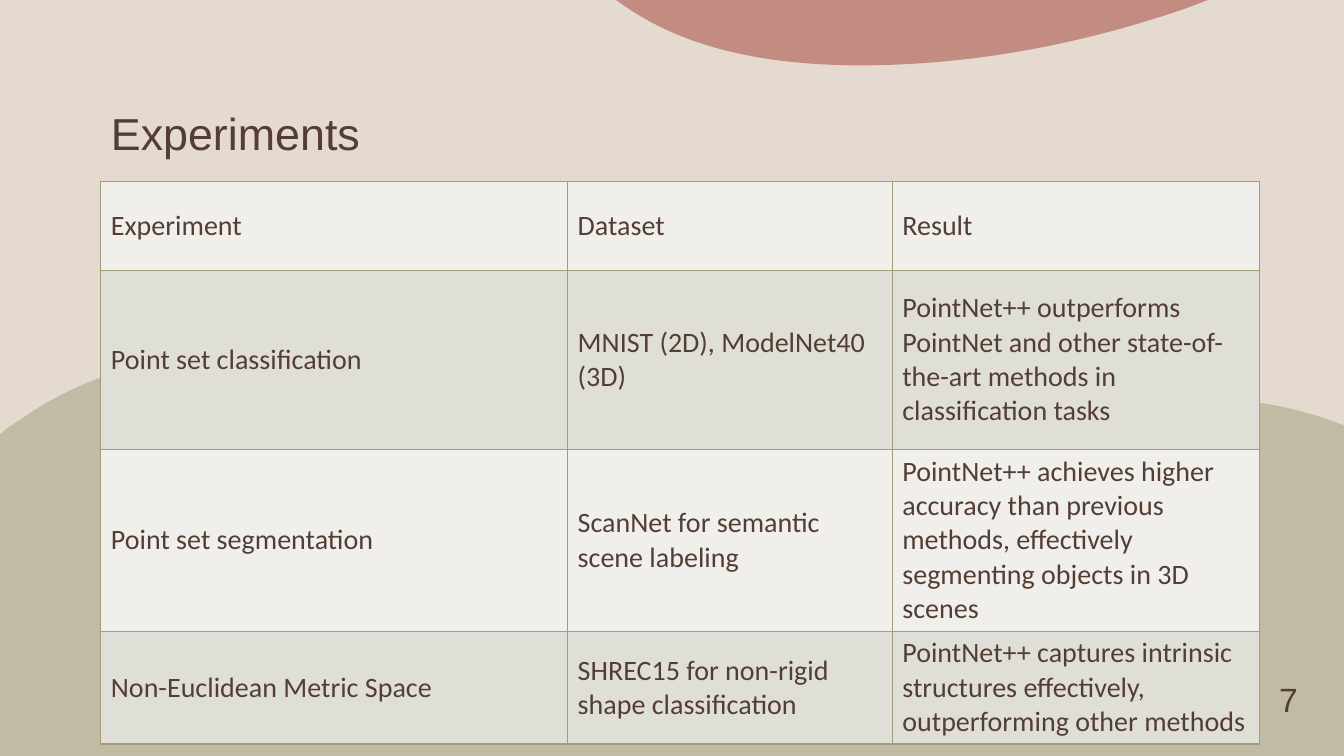
from dataclasses import dataclass

from lxml import etree
from pptx import Presentation
from pptx import util as u
from pptx.dml.color import RGBColor
from pptx.enum import text
from pptx.oxml.ns import qn

EMU_PER_PX = 9144

SAND = RGBColor(0xE5, 0xDA, 0xCF)
OLIVE = RGBColor(0xA0, 0x9D, 0x79)
CLAY = RGBColor(0xAC, 0x5B, 0x4C)
BROWN = RGBColor(0x54, 0x3E, 0x34)
LIGHT_ROW = RGBColor(0xF0, 0xEF, 0xEC)
DARK_ROW = RGBColor(0xDF, 0xDF, 0xD7)

Point = tuple[int, int]


@dataclass(frozen=True)
class Wave:
    start: Point
    segments: tuple[tuple[Point, ...], ...]
    color: RGBColor
    opacity: int


@dataclass(frozen=True)
class TextStyle:
    font: str
    size: int


TITLE_STYLE = TextStyle("Arial", 32)
NUMBER_STYLE = TextStyle("Arial", 24)
TABLE_STYLE = TextStyle("Calibri", 20)

HILLS = Wave(
    (202, 358),
    (
        ((236, 359), (270, 366), (304, 379)),
        ((334, 390), (360, 408), (386, 425)),
        ((443, 462), (505, 490), (577, 500)),
        ((637, 509), (698, 503), (759, 488)),
        ((827, 472), (867, 457), (908, 443)),
        ((948, 429), (1161, 357), (1325, 419)),
        ((1333, 422),),
        ((1333, 750),),
        ((0, 750),),
        ((0, 431),),
        ((7, 425),),
        ((16, 419), (25, 413), (34, 407)),
        ((90, 372), (146, 356), (202, 358)),
    ),
    OLIVE,
    50,
)
CREST = Wave(
    (611, 0),
    (
        ((1198, 0),),
        ((1177, 8),),
        ((1056, 50), (961, 59), (924, 62)),
        ((756, 75), (671, 41), (621, 7)),
    ),
    CLAY,
    60,
)

COLUMN_WIDTHS = (463, 322, 364)
ROW_HEIGHTS = (88, 178, 88, 88)
EXPERIMENTS = (
    ("Experiment", "Dataset", "Result"),
    (
        "Point set classification",
        "MNIST (2D), ModelNet40 (3D)",
        "PointNet++ outperforms PointNet and other state-of-the-art methods in classification tasks",
    ),
    (
        "Point set segmentation",
        "ScanNet for semantic scene labeling",
        "PointNet++ achieves higher accuracy than previous methods, "
        "effectively segmenting objects in 3D scenes",
    ),
    (
        "Non-Euclidean Metric Space",
        "SHREC15 for non-rigid shape classification",
        "PointNet++ captures intrinsic structures effectively, outperforming other methods",
    ),
)


def px(length: int) -> u.Emu:
    return u.Emu(length * EMU_PER_PX)


def bend_segments(shape, wave: Wave) -> None:
    lines = list(shape._element.iter(qn("a:lnTo")))
    for line, segment in zip(lines, wave.segments):
        if len(segment) == 3:
            line.tag = qn("a:cubicBezTo")
            for index, (x, y) in enumerate(segment[:2]):
                control = etree.Element(
                    qn("a:pt"), x=str(px(x) - shape.left), y=str(px(y) - shape.top)
                )
                line.insert(index, control)


def draw_wave(slide, wave: Wave) -> None:
    builder = slide.shapes.build_freeform(*map(px, wave.start))
    ends = [segment[-1] for segment in wave.segments]
    builder.add_line_segments([(px(x), px(y)) for x, y in ends], close=True)
    shape = builder.convert_to_shape()
    bend_segments(shape, wave)
    shape.shadow.inherit = False
    shape.line.fill.background()
    shape.fill.solid()
    shape.fill.fore_color.rgb = wave.color
    color = shape._element.spPr.find(qn("a:solidFill"))[0]
    etree.SubElement(color, qn("a:alpha"), val=str(wave.opacity * 1000))


def write(frame, content: str, style: TextStyle, alignment=text.PP_ALIGN.LEFT) -> None:
    frame.text = content
    frame.word_wrap = True
    paragraph = frame.paragraphs[0]
    paragraph.alignment = alignment
    font = paragraph.runs[0].font
    font.name = style.font
    font.size = u.Pt(style.size)
    font.color.rgb = BROWN


def add_borders(cell) -> None:
    properties = cell._tc.get_or_add_tcPr()
    for side in ("lnL", "lnR", "lnT", "lnB"):
        border = etree.SubElement(properties, qn(f"a:{side}"), w=str(u.Pt(1)))
        fill = etree.SubElement(border, qn("a:solidFill"))
        etree.SubElement(fill, qn("a:srgbClr"), val=str(OLIVE))


def draw_title(slide) -> None:
    title = slide.shapes.title
    title.left, title.top, title.width, title.height = map(px, (100, 100, 1133, 64))
    write(title.text_frame, "Experiments", TITLE_STYLE)
    title.text_frame.auto_size = text.MSO_AUTO_SIZE.NONE
    title.text_frame.vertical_anchor = text.MSO_ANCHOR.BOTTOM
    title.text_frame.paragraphs[0].line_spacing = 0.9


def draw_table(slide) -> None:
    frame = slide.shapes.add_table(
        len(ROW_HEIGHTS), len(COLUMN_WIDTHS),
        px(100), px(180), px(sum(COLUMN_WIDTHS)), px(sum(ROW_HEIGHTS)),
    )
    table = frame.table
    table.first_row = table.horz_banding = False
    for column, width in zip(table.columns, COLUMN_WIDTHS):
        column.width = px(width)
    for index, (row, height, contents) in enumerate(zip(table.rows, ROW_HEIGHTS, EXPERIMENTS)):
        row.height = px(height)
        for cell, content in zip(row.cells, contents):
            write(cell.text_frame, content, TABLE_STYLE)
            cell.vertical_anchor = text.MSO_ANCHOR.MIDDLE
            add_borders(cell)
            cell.fill.solid()
            cell.fill.fore_color.rgb = DARK_ROW if index % 2 else LIGHT_ROW


def draw_page_number(slide) -> None:
    box = slide.shapes.add_textbox(px(1242), px(644), px(72), px(98))
    write(box.text_frame, "7", NUMBER_STYLE, text.PP_ALIGN.CENTER)
    box.text_frame.vertical_anchor = text.MSO_ANCHOR.MIDDLE


def main() -> None:
    presentation = Presentation()
    presentation.slide_width, presentation.slide_height = px(1333), px(750)
    slide = presentation.slides.add_slide(presentation.slide_layouts[5])
    slide.background.fill.solid()
    slide.background.fill.fore_color.rgb = SAND
    for wave in (HILLS, CREST):
        draw_wave(slide, wave)
    draw_title(slide)
    draw_table(slide)
    draw_page_number(slide)
    presentation.save("out.pptx")


if __name__ == "__main__":
    main()
